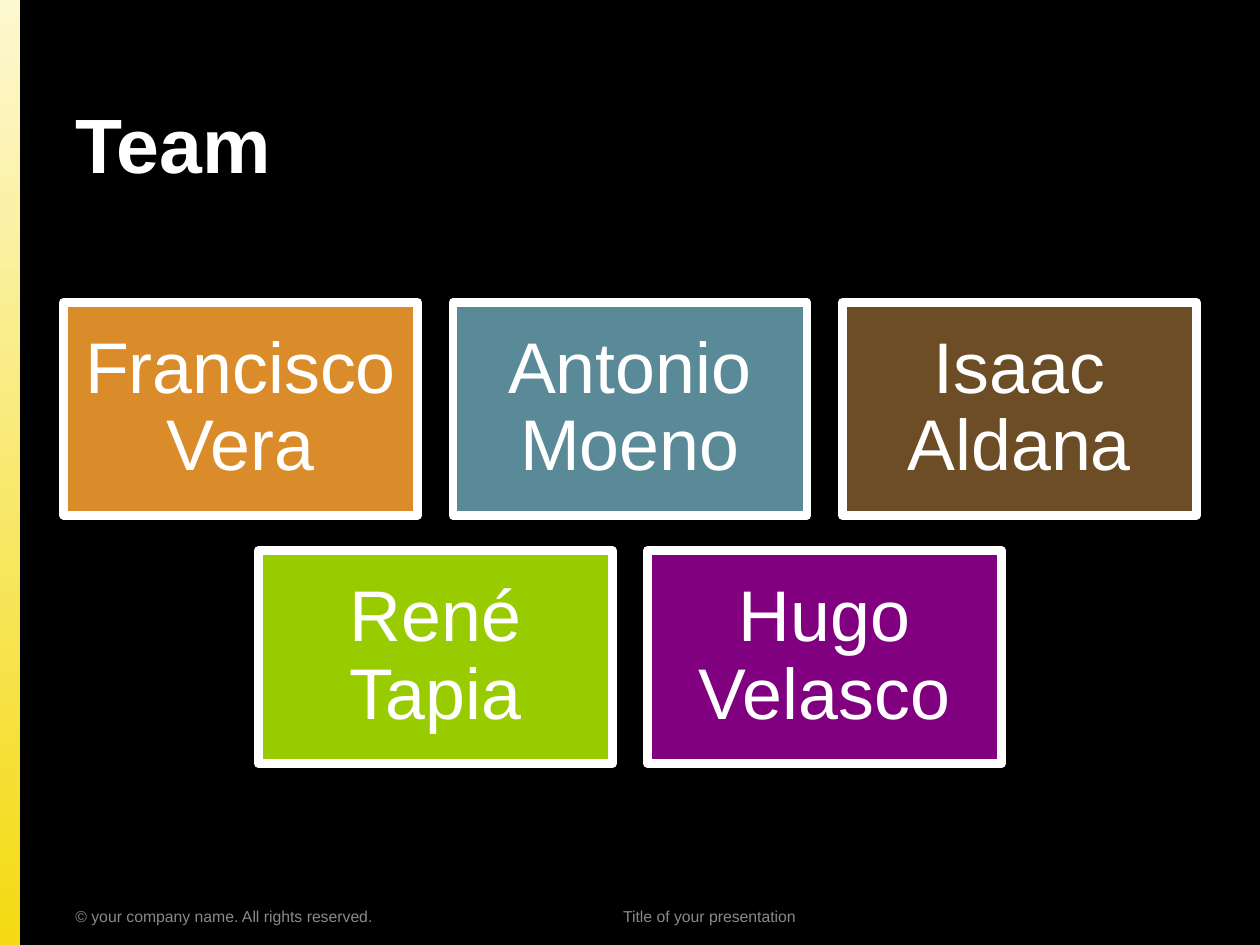
from pptx import Presentation
from pptx.dml.color import RGBColor
from pptx.enum.shapes import MSO_SHAPE
from pptx.enum.text import MSO_ANCHOR, PP_ALIGN
from pptx.util import Inches, Pt

RECT = MSO_SHAPE.RECTANGLE
MIDDLE, BOTTOM = MSO_ANCHOR.MIDDLE, MSO_ANCHOR.BOTTOM
LEFT, CENTER = PP_ALIGN.LEFT, PP_ALIGN.CENTER

# Content
TITLE = "Team"
TEAM_ROWS = [
    [("Francisco Vera", "DA8C2B"), ("Antonio Moeno", "5A8A98"), ("Isaac Aldana", "6D4D26")],
    [("René Tapia", "99CC00"), ("Hugo Velasco", "800080")],
]
FOOTERS = [
    ("© your company name. All rights reserved.", 0.5, 2.92, LEFT),
    ("Title of your presentation", 3.42, 4.42, CENTER),
]

# Layout and formats
SLIDE_W, SLIDE_H = 10, 7.5
CARD_W, CARD_H, GAP, CARDS_TOP = 2.81, 1.69, 0.28, 2.4
TITLE_FONT = {"name": "Arial", "size": Pt(44), "bold": True}
CARD_FONT = {"name": "Arial", "size": Pt(41), "bold": False}
FOOTER_FONT = {"name": "Arial", "size": Pt(9), "bold": False}
# Side margins leave room for the longest first name on one line
CARD_MARGINS = {
    "margin_left": Inches(0.12),
    "margin_right": Inches(0.12),
    "margin_top": Inches(0.17),
    "margin_bottom": Inches(0.17),
}


def rgb(value):
    return RGBColor.from_string(value)


def box(x, y, w, h):
    return [Inches(v) for v in (x, y, w, h)]


def set_attrs(target, values):
    for name, value in values.items():
        setattr(target, name, value)


def write(sp, text, font, color, anchor=MIDDLE, align=LEFT):
    tf = sp.text_frame
    tf.word_wrap = True
    tf.vertical_anchor = anchor
    p = tf.paragraphs[0]
    p.alignment = align
    r = p.add_run()
    r.text = text
    set_attrs(r.font, font)
    r.font.color.rgb = rgb(color)
    return tf


prs = Presentation()
prs.slide_width, prs.slide_height = Inches(SLIDE_W), Inches(SLIDE_H)
s = prs.slides.add_slide(prs.slide_layouts[5])
s.background.fill.solid()
s.background.fill.fore_color.rgb = rgb("000000")

# Gradient strip on the left edge
strip = s.shapes.add_shape(RECT, *box(0, 0, 0.16, SLIDE_H))
strip.shadow.inherit = False
strip.line.fill.background()
strip.fill.gradient()
strip.fill.gradient_angle = 90
for stop, color, position in zip(strip.fill.gradient_stops, ("F4DA12", "FDF8D0"), (0, 1)):
    stop.color.rgb = rgb(color)
    stop.position = position

# Title
title = s.shapes.title
title.left, title.top, title.width, title.height = box(0.5, 0.3, 9, 1.25)
write(title, TITLE, TITLE_FONT, "FFFFFF", anchor=BOTTOM)

# Team cards, each row centred on the slide
for row, members in enumerate(TEAM_ROWS):
    row_w = len(members) * (CARD_W + GAP) - GAP
    left = (SLIDE_W - row_w) / 2
    top = CARDS_TOP + row * (CARD_H + GAP)
    for col, (name, color) in enumerate(members):
        card = s.shapes.add_shape(RECT, *box(left + col * (CARD_W + GAP), top, CARD_W, CARD_H))
        card.shadow.inherit = False
        card.fill.solid()
        card.fill.fore_color.rgb = rgb(color)
        card.line.color.rgb = rgb("FFFFFF")
        card.line.width = Pt(5)
        tf = write(card, name, CARD_FONT, "FFFFFF", align=CENTER)
        set_attrs(tf, CARD_MARGINS)
        tf.paragraphs[0].line_spacing = 0.9

# Footers
for text, x, w, align in FOOTERS:
    footer = s.shapes.add_textbox(*box(x, 7.07, w, 0.4))
    write(footer, text, FOOTER_FONT, "898989", align=align)

prs.save("out.pptx")
